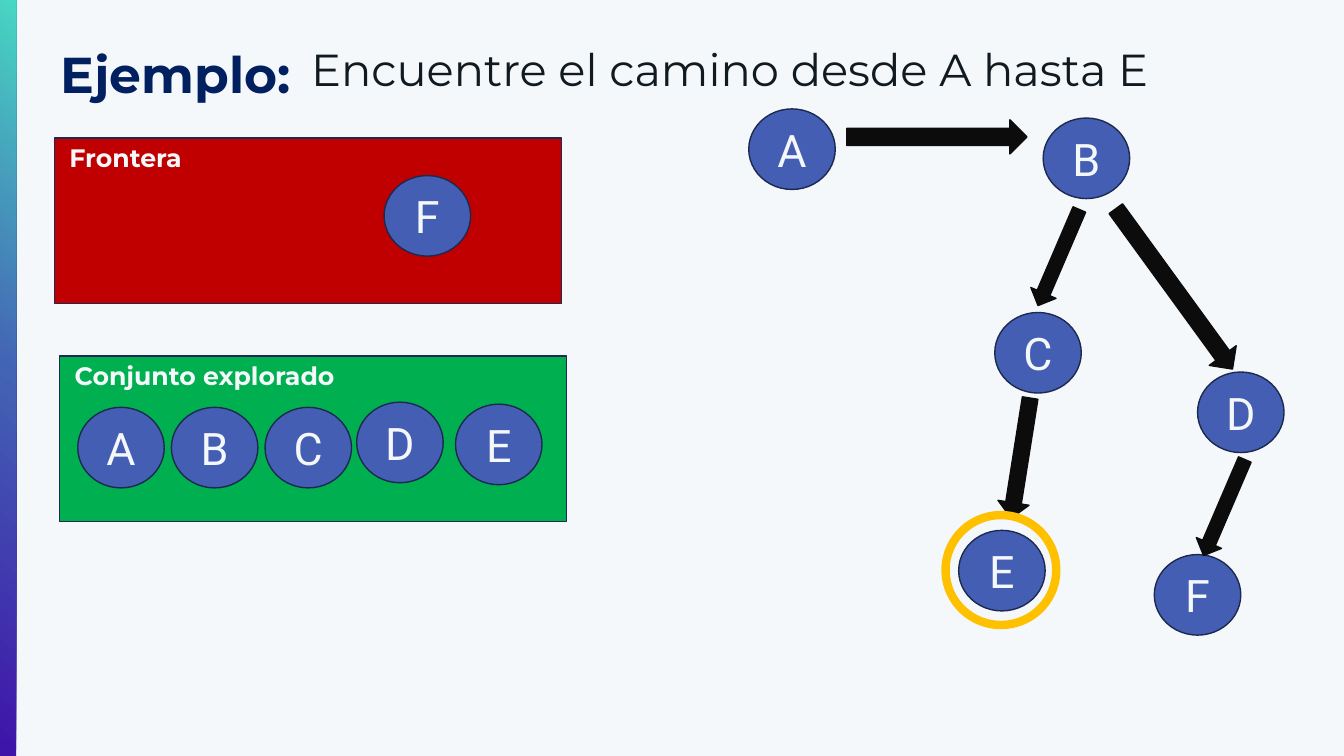
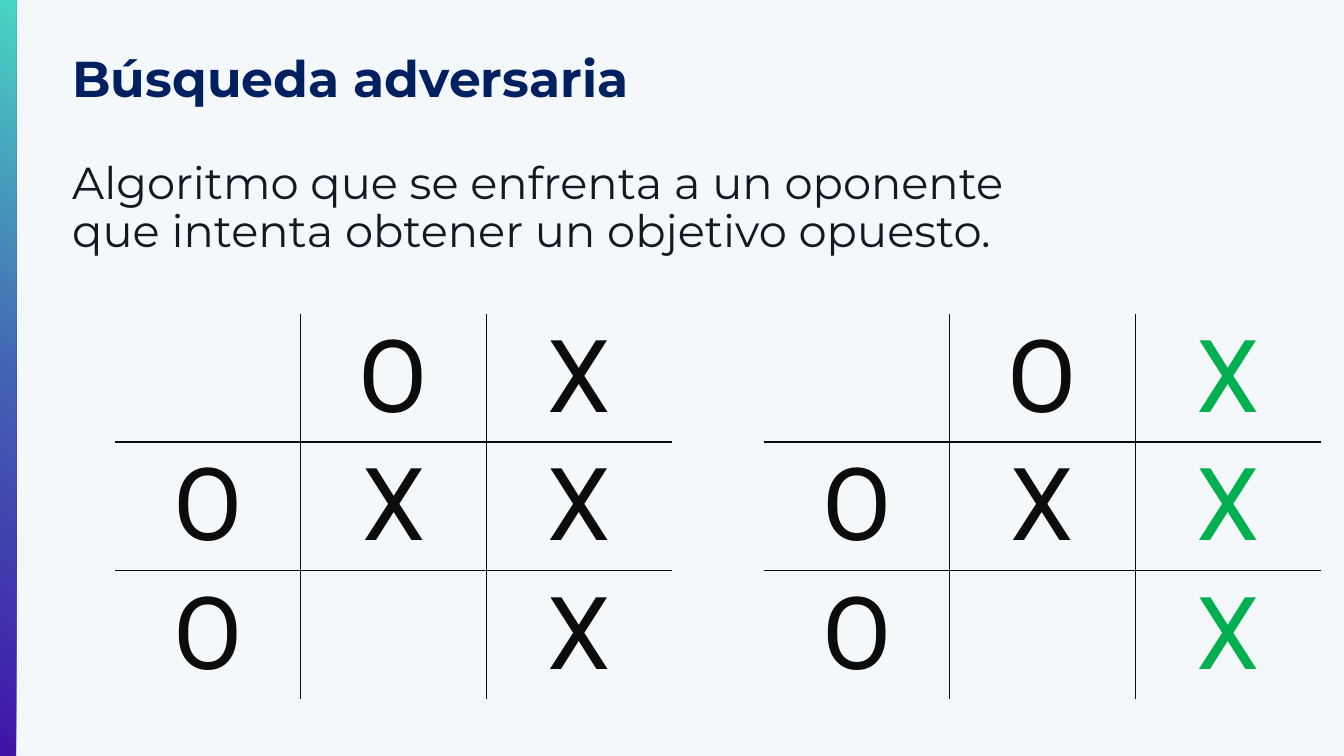
import math
from dataclasses import dataclass

from lxml import etree
from pptx import Presentation
from pptx.dml.color import RGBColor
from pptx.enum.shapes import MSO_SHAPE
from pptx.enum.text import MSO_ANCHOR, MSO_AUTO_SIZE, PP_ALIGN
from pptx.oxml.ns import qn
from pptx.util import Cm, Pt

RECT, OVAL, ARROW = MSO_SHAPE.RECTANGLE, MSO_SHAPE.OVAL, MSO_SHAPE.RIGHT_ARROW
TOP, MIDDLE = MSO_ANCHOR.TOP, MSO_ANCHOR.MIDDLE
LEFT, CENTER = PP_ALIGN.LEFT, PP_ALIGN.CENTER


@dataclass(frozen=True)
class Theme:
    head: str = "Montserrat"
    body: str = "Roboto"
    title: int = 36
    lead: int = 32
    label: int = 18
    mark: int = 72
    paper: str = "F5F8FA"
    navy: str = "002060"
    text: str = "111A21"
    ink: str = "0C0C0C"
    node: str = "435EB3"
    edge: str = "1D294E"
    red: str = "C00000"
    green: str = "00B050"
    gold: str = "FFC000"
    band: tuple = ((0, "3E13A9"), (51, "4363B4"), (100, "48D7C3"))


T = Theme()

# All positions and sizes are in centimetres.
WIDE, HIGH, BAND = 33.87, 19.05, 0.41
NODE, PANEL = (2.18, 2.03), (12.78, 4.17)

SEARCH = {
    "title": ("Ejemplo:", (1.27, 1.14, 6.32, 2.34)),
    "lead": ("Encuentre el camino desde A hasta E", (7.59, 0.64, 22.91, 2.34)),
}
GAME = {
    "title": ("Búsqueda adversaria", (1.57, 1.24, 17.2, 3.2)),
    "lead": ("Algoritmo que se enfrenta a un oponente que intenta obtener "
             "un objetivo opuesto.", (1.57, 2.62, 26.24, 5.28)),
}

# Label, centre x, centre y
TREE = [("A", 19.96, 3.76), ("B", 27.38, 3.99), ("C", 26.16, 8.89),
        ("D", 31.27, 10.39), ("E", 25.25, 14.38), ("F", 30.18, 14.99)]
# Tail, tip, thickness
ARROWS = [((21.34, 3.45), (25.88, 3.45), 0.86),
          ((27.2, 5.28), (26.16, 7.7), 0.69),
          ((28.12, 5.26), (31.06, 9.3), 0.84),
          ((25.96, 10.03), (25.48, 13.06), 0.79),
          ((31.37, 11.58), (30.33, 14), 0.69)]
GOAL = (23.83, 12.98, 2.79, 2.77)
# Label, fill, left, top, nodes
PANELS = [
    ("Frontera", T.red, 1.37, 3.48, [("F", 10.77, 5.44)]),
    ("Conjunto explorado", T.green, 1.5, 8.97,
     [("A", 3.05, 11.28), ("B", 5.41, 11.28), ("C", 7.77, 11.28),
      ("D", 10.08, 11.15), ("E", 12.57, 11.2)]),
]

BOARD = [" OX", "OXX", "O X"]
# Left edge, winning column
GAMES = [(2.9, None), (19.25, 2)]
GRID_TOP, CELL = 7.9, (4.68, 3.24)


def color(code):
    return RGBColor.from_string(code)


def write(frame, text, size, tint, face, bold=False, align=LEFT, anchor=TOP):
    frame.word_wrap = True
    frame.auto_size = MSO_AUTO_SIZE.NONE
    frame.vertical_anchor = anchor
    frame.text = text
    para = frame.paragraphs[0]
    para.alignment = align
    font = para.font
    font.name, font.size, font.bold = face, Pt(size), bold
    font.color.rgb = color(tint)
    return para


def draw(slide, kind, box, fill=None, line=None, width=1):
    shape = slide.shapes.add_shape(kind, *map(Cm, box))
    shape.shadow.inherit = False
    if fill:
        shape.fill.solid()
        shape.fill.fore_color.rgb = color(fill)
    else:
        shape.fill.background()
    if line:
        shape.line.color.rgb = color(line)
        shape.line.width = Pt(width)
    else:
        shape.line.fill.background()
    return shape


def start(deck, layout, data):
    """Add a slide with its title and lead text."""
    slide = deck.slides.add_slide(layout)
    text, box = data["title"]
    title = slide.shapes.title
    title.left, title.top, title.width, title.height = map(Cm, box)
    para = write(title.text_frame, text, T.title, T.navy, T.head, bold=True)
    para.line_spacing = 0.9
    text, box = data["lead"]
    lead = slide.shapes.add_textbox(*map(Cm, box))
    para = write(lead.text_frame, text, T.lead, T.text, T.head, anchor=MIDDLE)
    para.line_spacing = 0.9
    return slide


def add_band(slide, layout):
    """Draw the gradient band and move it to the shared layout."""
    band = draw(slide, RECT, (0, 0, BAND, HIGH))
    band.fill.gradient()
    band.fill.gradient_angle = 50
    stops = band._element.find(".//" + qn("a:gsLst"))
    stops.clear()
    for place, code in T.band:
        stop = etree.SubElement(stops, qn("a:gs"), pos=str(place * 1000))
        etree.SubElement(stop, qn("a:srgbClr"), val=code)
    layout.shapes._spTree.insert(2, band._element)


def add_node(slide, label, x, y):
    wide, high = NODE
    box = (x - wide / 2, y - high / 2, wide, high)
    frame = draw(slide, OVAL, box, T.node, T.edge).text_frame
    frame.margin_left = frame.margin_right = 0
    frame.margin_top = frame.margin_bottom = 0
    write(frame, label, T.lead, T.paper, T.body, align=CENTER, anchor=MIDDLE)


def add_arrow(slide, tail, tip, thick):
    long = math.dist(tail, tip)
    x, y = ((a + b) / 2 for a, b in zip(tail, tip))
    box = (x - long / 2, y - thick / 2, long, thick)
    arrow = draw(slide, ARROW, box, T.ink, T.ink)
    angle = math.atan2(tip[1] - tail[1], tip[0] - tail[0])
    arrow.rotation = math.degrees(angle)


def add_panel(slide, label, fill, left, top, nodes):
    frame = draw(slide, RECT, (left, top, *PANEL), fill, T.edge).text_frame
    frame.margin_left, frame.margin_top = Cm(0.38), Cm(0.1)
    write(frame, label, T.label, T.paper, T.head, bold=True)
    for node in nodes:
        add_node(slide, *node)


def set_edges(cell, row, col, last):
    """Rule the inner edges of a cell and clear the outer ones."""
    props = cell._tc.get_or_add_tcPr()
    inner = {"L": col > 0, "R": col < last, "T": row > 0, "B": row < last}
    for side, ruled in inner.items():
        line = etree.SubElement(props, qn("a:ln" + side), w=str(Pt(1)))
        if ruled:
            fill = etree.SubElement(line, qn("a:solidFill"))
            etree.SubElement(fill, qn("a:srgbClr"), val=T.ink)
        else:
            etree.SubElement(line, qn("a:noFill"))


def add_game(slide, left, win):
    count = len(BOARD)
    wide, high = CELL
    box = (left, GRID_TOP, wide * count, high * count)
    grid = slide.shapes.add_table(count, count, *map(Cm, box)).table
    grid.first_row = grid.horz_banding = False
    for row, marks in enumerate(BOARD):
        for col, mark in enumerate(marks):
            cell = grid.cell(row, col)
            set_edges(cell, row, col, count - 1)
            cell.fill.background()
            if mark != " ":
                tint = T.green if col == win else T.ink
                write(cell.text_frame, mark, T.mark, tint, T.body,
                      align=CENTER)
                cell.vertical_anchor = MIDDLE


def main():
    deck = Presentation()
    deck.slide_width, deck.slide_height = Cm(WIDE), Cm(HIGH)
    back = deck.slide_master.background.fill
    back.solid()
    back.fore_color.rgb = color(T.paper)
    layout = deck.slide_layouts.get_by_name("Title Only")

    search = start(deck, layout, SEARCH)
    add_band(search, layout)
    for node in TREE:
        add_node(search, *node)
    for arrow in ARROWS:
        add_arrow(search, *arrow)
    draw(search, OVAL, GOAL, line=T.gold, width=6)
    for panel in PANELS:
        add_panel(search, *panel)

    game = start(deck, layout, GAME)
    for spot in GAMES:
        add_game(game, *spot)
    deck.save("out.pptx")


if __name__ == "__main__":
    main()
